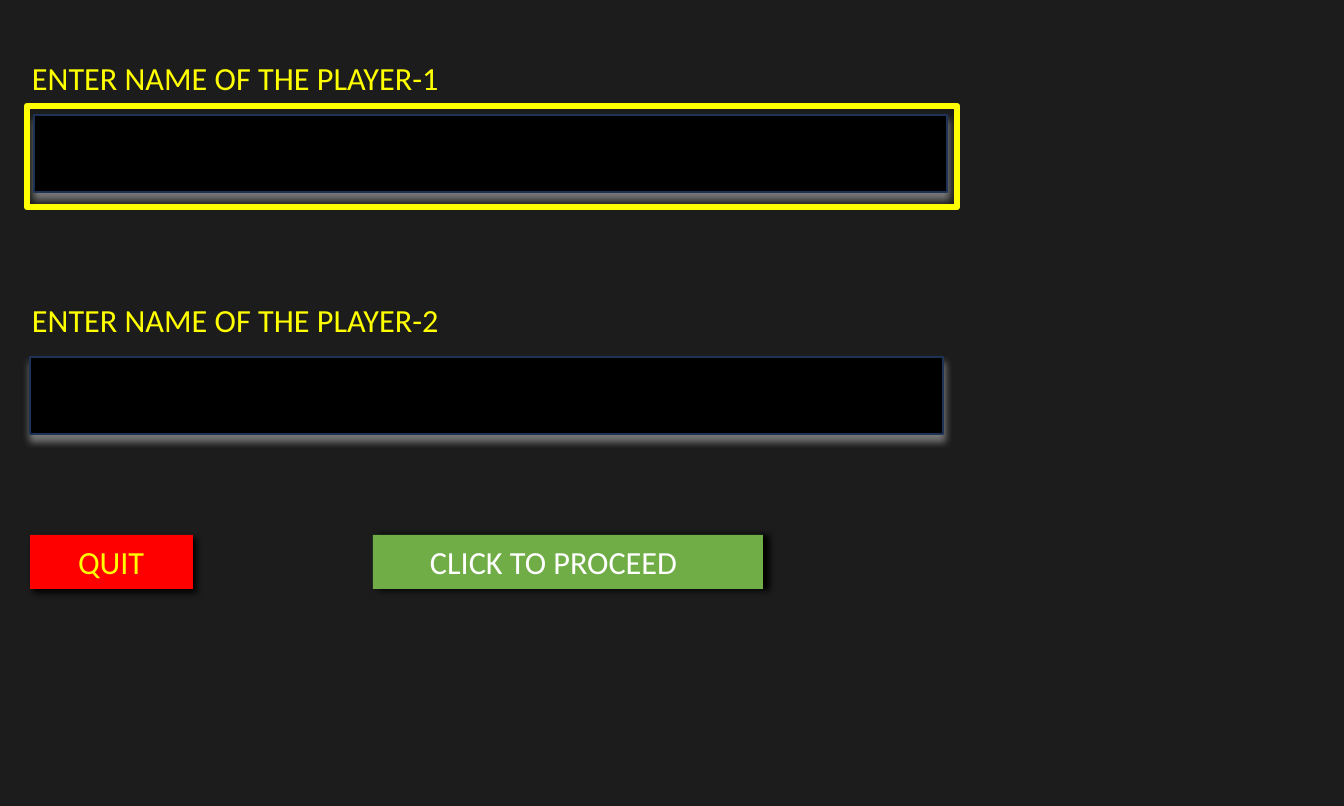
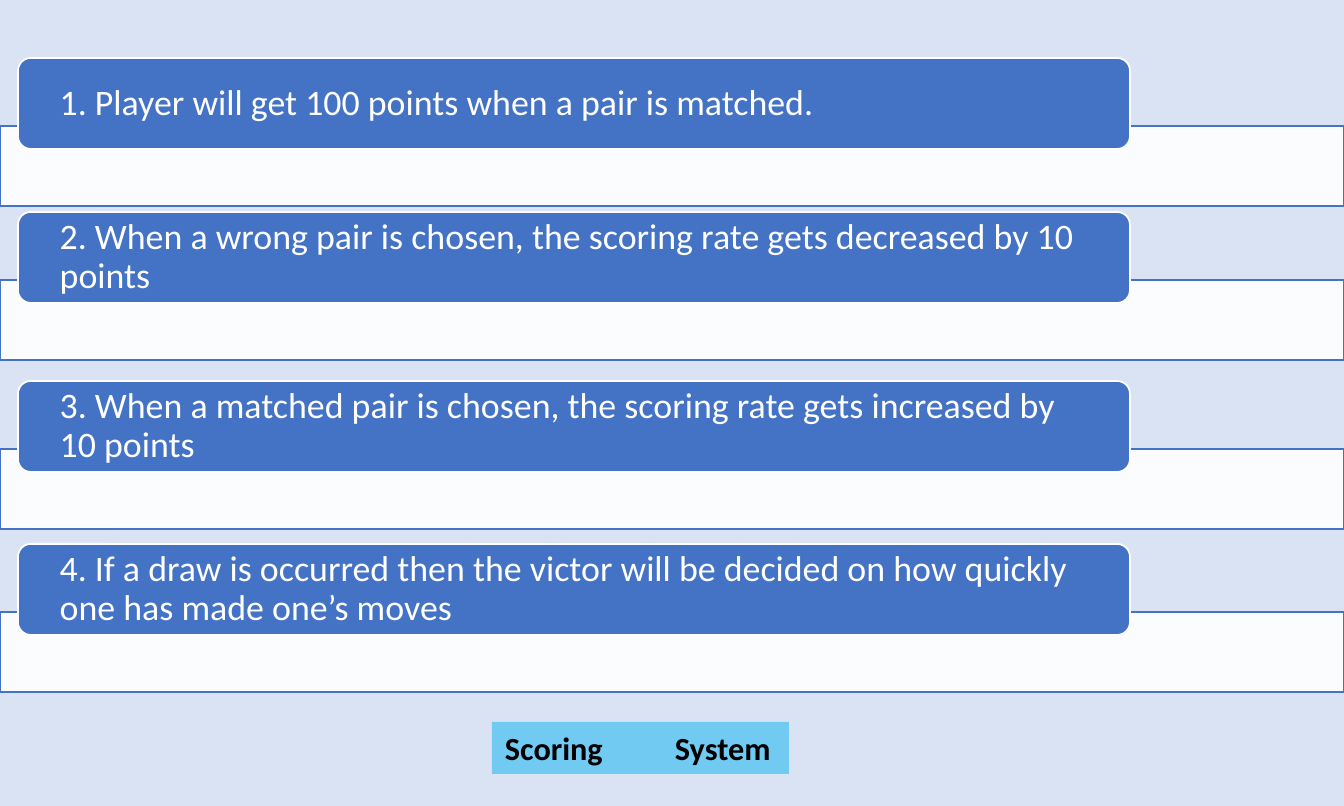
from lxml import etree
from pptx import Presentation
from pptx.dml.color import RGBColor
from pptx.enum.shapes import MSO_SHAPE as Preset
from pptx.enum.text import MSO_ANCHOR as Anchor, MSO_AUTO_SIZE as AutoSize, PP_ALIGN as Align
from pptx.oxml.ns import qn
from pptx.util import Pt

SCALE = 914400 / 129
WIDTH, HEIGHT = 1344, 806
FONT = "Calibri"
COLORS = {
    "night": "1C1C1C", "mist": "DAE3F3", "black": "000000", "white": "FFFFFF",
    "yellow": "FFFF00", "red": "FF0000", "green": "70AD47", "navy": "1E3256",
    "blue": "4472C4", "sky": "00B0F0",
}

PLAYERS = [
    ("ENTER NAME OF THE PLAYER-1", 52, 34),
    ("ENTER NAME OF THE PLAYER-2", 294, 30),
]
FIELD_DROP, FIELD_SIZE = 63, (913, 77)
ACTIVE_FIELD = (27, 106, 930, 101)
BUTTONS = [
    ("QUIT", 30, 163, 48, "red", "yellow", 45),
    ("CLICK TO PROCEED", 373, 390, 57, "green", "white", 0),
]
BUTTON_TOP, BUTTON_HEIGHT = 535, 54

RULES = [
    ("1. Player will get 100 points when a pair is matched.", 58),
    ("2. When a wrong pair is chosen, the scoring rate gets decreased by 10 points", 212),
    ("3. When a matched pair is chosen, the scoring rate gets increased by 10 points", 381),
    ("4. If a draw is occurred then the victor will be decided on how quickly one has made one’s moves", 544),
]
BAND_DROP, BAND_HEIGHT = 68, 80
CARD_LEFT, CARD_WIDTH, CARD_HEIGHT = 18, 1112, 91
HEADING = "Scoring\tSystem"
HEADING_BOX, HEADING_TAB = (492, 722, 297, 52), 170


def px(length):
    return round(length * SCALE)


def rgb(name):
    return RGBColor.from_string(COLORS[name])


def set_fill(shape, color, opacity=100):
    shape.fill.solid()
    shape.fill.fore_color.rgb = rgb(color)
    if opacity < 100:
        tint = shape.fill._xPr.find(qn("a:solidFill"))[0]
        etree.SubElement(tint, qn("a:alpha"), val=str(opacity * 1000))


def add_box(slide, box, fill=None, line=None, weight=1, opacity=100, preset=Preset.RECTANGLE):
    shape = slide.shapes.add_shape(preset, *map(px, box))
    shape.shadow.inherit = False
    if fill:
        set_fill(shape, fill, opacity)
    else:
        shape.fill.background()
    if line:
        shape.line.color.rgb = rgb(line)
        shape.line.width = Pt(weight)
    else:
        shape.line.fill.background()
    return shape


def cast_shadow(shape, color, opacity, angle):
    effects = shape._element.spPr.find(qn("a:effectLst"))
    shadow = etree.SubElement(
        effects, qn("a:outerShdw"), blurRad=str(Pt(4)), dist=str(Pt(3)),
        dir=str(angle * 60000), algn="t", rotWithShape="0")
    tint = etree.SubElement(shadow, qn("a:srgbClr"), val=COLORS[color])
    etree.SubElement(tint, qn("a:alpha"), val=str(opacity * 1000))


def write(shape, text, size, color, insets=(13, 6, 13, 6), bold=False, spacing=None, tab=None):
    frame = shape.text_frame
    frame.word_wrap = True
    frame.auto_size = AutoSize.NONE
    frame.vertical_anchor = Anchor.MIDDLE
    (frame.margin_left, frame.margin_top,
     frame.margin_right, frame.margin_bottom) = map(px, insets)
    paragraph = frame.paragraphs[0]
    paragraph.text = text
    paragraph.alignment = Align.LEFT
    if spacing:
        paragraph.line_spacing = spacing
    if tab:
        stops = etree.SubElement(paragraph._p.get_or_add_pPr(), qn("a:tabLst"))
        etree.SubElement(stops, qn("a:tab"), pos=str(px(tab)), algn="l")
    font = paragraph.font
    font.name, font.size, font.bold = FONT, Pt(size), bold
    font.color.rgb = rgb(color)


def new_slide(deck, layout, background):
    slide = deck.slides.add_slide(deck.slide_layouts.get_by_name(layout))
    slide.background.fill.solid()
    slide.background.fill.fore_color.rgb = rgb(background)
    return slide


def build_names(deck):
    slide = new_slide(deck, "Blank", "night")
    for prompt, top, left in PLAYERS:
        label = slide.shapes.add_textbox(*map(px, (19, top, 461, 52)))
        write(label, prompt, 18, "yellow")
        field = add_box(slide, (left, top + FIELD_DROP, *FIELD_SIZE), "black", "navy")
        cast_shadow(field, "white", 40, 90)
    add_box(slide, ACTIVE_FIELD, line="yellow", weight=3.75)
    for caption, left, width, indent, fill, color, angle in BUTTONS:
        button = add_box(slide, (left, BUTTON_TOP, width, BUTTON_HEIGHT), fill)
        cast_shadow(button, "black", 100, angle)
        write(button, caption, 18, color, (indent, 0, 0, 0))


def build_scoring(deck):
    slide = new_slide(deck, "Title Only", "mist")
    for rule, top in RULES:
        add_box(slide, (0, top + BAND_DROP, WIDTH, BAND_HEIGHT), "white", "blue", opacity=90)
        card = add_box(slide, (CARD_LEFT, top, CARD_WIDTH, CARD_HEIGHT), "blue", "white",
                       preset=Preset.ROUNDED_RECTANGLE)
        card.adjustments[0] = 0.14
        write(card, rule, 20, "white", (38, 3, 45, 3), spacing=0.9)
    heading = slide.shapes.title
    heading.left, heading.top, heading.width, heading.height = map(px, HEADING_BOX)
    set_fill(heading, "sky", 48)
    write(heading, HEADING, 18, "black", bold=True, tab=HEADING_TAB)


def main():
    deck = Presentation()
    deck.slide_width, deck.slide_height = px(WIDTH), px(HEIGHT)
    build_names(deck)
    build_scoring(deck)
    deck.save("out.pptx")


if __name__ == "__main__":
    main()
